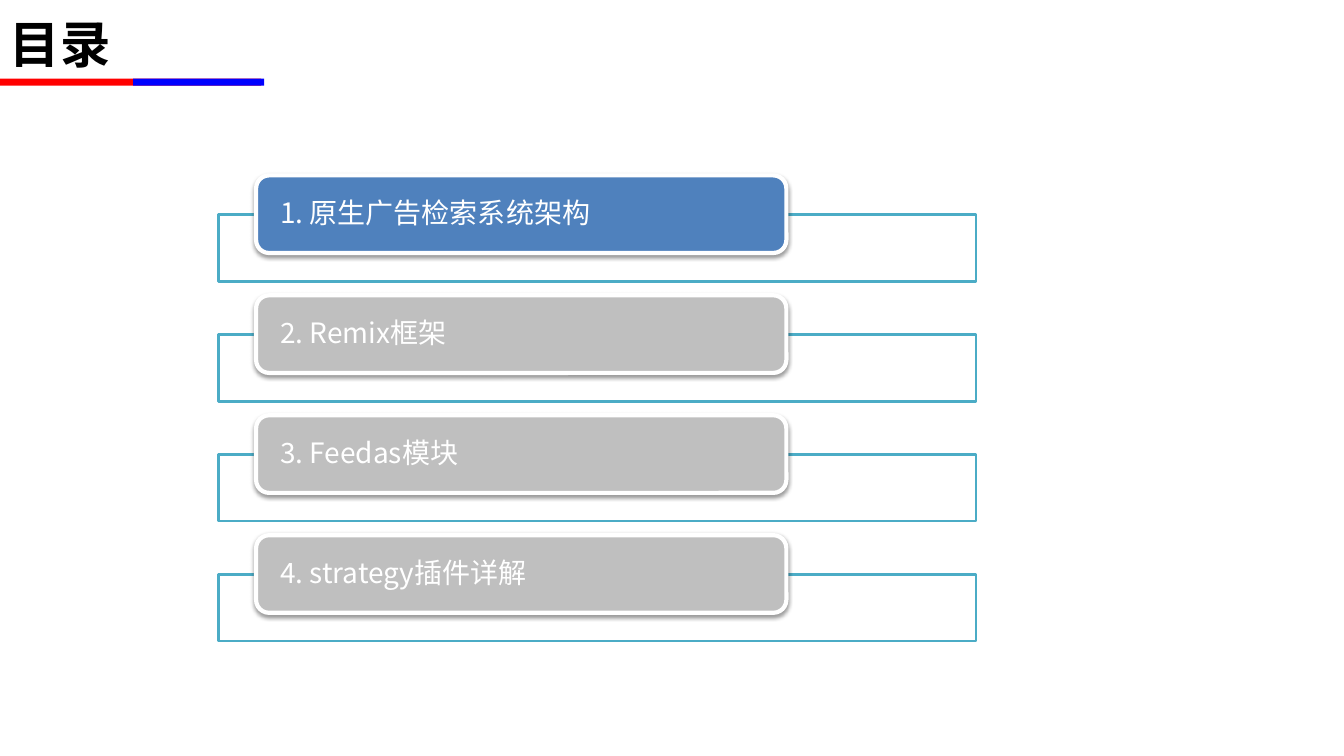
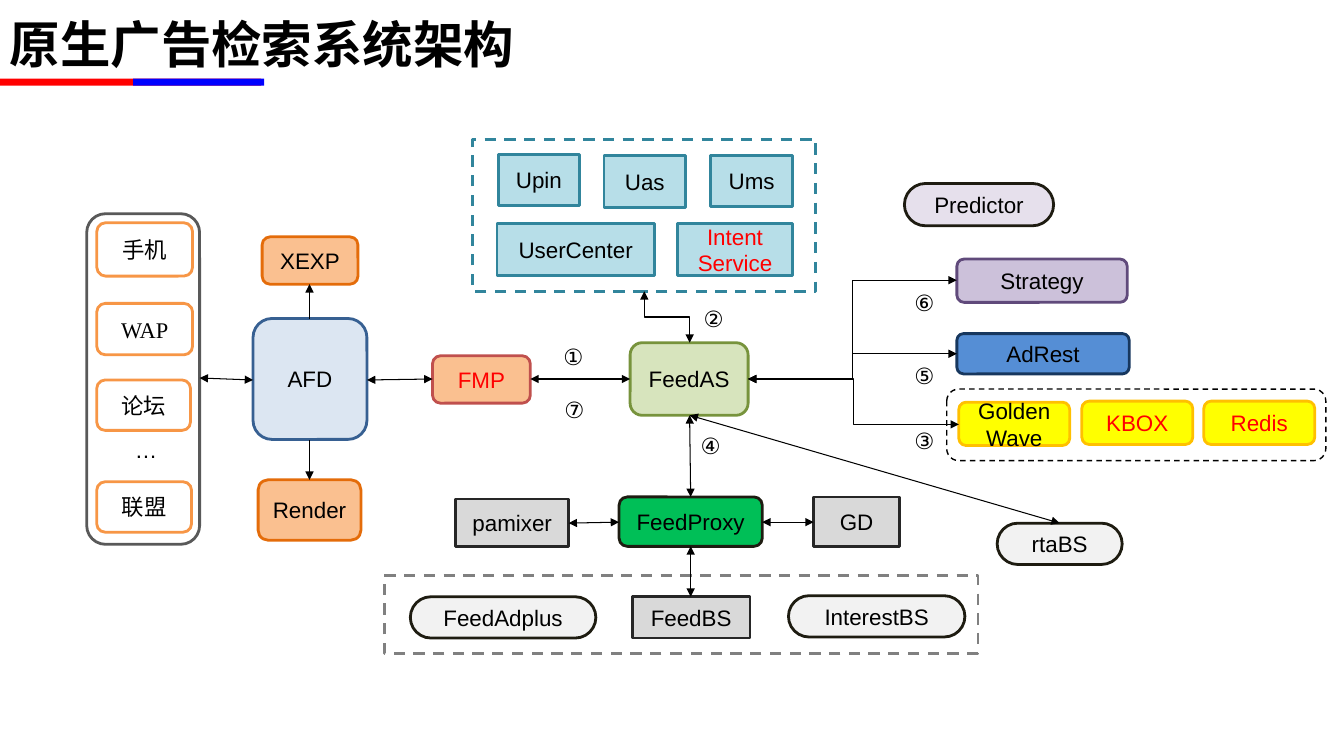
"""Build the agenda and the architecture diagram of a native ad retrieval system."""
from dataclasses import dataclass

from lxml import etree
from pptx import Presentation
from pptx.dml.color import RGBColor
from pptx.enum import dml, shapes, text
from pptx.oxml import ns
from pptx.slide import Slide
from pptx.util import Inches, Pt

BLACK = RGBColor(0x00, 0x00, 0x00)
WHITE = RGBColor(0xFF, 0xFF, 0xFF)
RED = RGBColor(0xFF, 0x00, 0x00)
BLUE = RGBColor(0x00, 0x00, 0xFF)
TEAL = RGBColor(0x4B, 0xAC, 0xC6)
ACTIVE = RGBColor(0x4F, 0x81, 0xBD)
INACTIVE = RGBColor(0xBF, 0xBF, 0xBF)
DARK_TEAL = RGBColor(0x31, 0x85, 0x9C)
DARK = RGBColor(0x1E, 0x1C, 0x11)
YELLOW = RGBColor(0xFF, 0xFF, 0x00)
PEACH = RGBColor(0xFA, 0xC0, 0x90)

LATIN, CJK, SERIF, TITLE = "Arial", "Noto Sans CJK SC", "Times New Roman", "Noto Sans Mono"
RECT = shapes.MSO_SHAPE.RECTANGLE
ROUND = shapes.MSO_SHAPE.ROUNDED_RECTANGLE


@dataclass(frozen=True)
class Style:
    """Outline, fill and geometry of a box."""
    fill: RGBColor | None
    line: RGBColor | None
    geometry: shapes.MSO_SHAPE = ROUND
    radius: float | None = None
    width: float = 2
    dashed: bool = False


@dataclass(frozen=True)
class Node:
    """A labelled box of the diagram, in inches."""
    label: str
    x: float
    y: float
    w: float
    h: float
    style: Style
    color: RGBColor = BLACK
    font: str = LATIN


@dataclass(frozen=True)
class Link:
    """An arrow between two points, in inches."""
    x1: float
    y1: float
    x2: float
    y2: float
    both: bool = True
    bent: bool = False
    upright: bool = False


RED_BAND = Style(RED, None, RECT)
BLUE_BAND = Style(BLUE, None, RECT)
AGENDA_FRAME = Style(WHITE, TEAL, RECT)
AGENDA_ACTIVE = Style(ACTIVE, WHITE, width=3)
AGENDA_INACTIVE = Style(INACTIVE, WHITE, width=3)

ENTRY_FRAME = Style(None, RGBColor(0x59, 0x59, 0x59))
ENTRY = Style(WHITE, RGBColor(0xF7, 0x96, 0x46))
FRONT = Style(RGBColor(0xDC, 0xE6, 0xF2), RGBColor(0x37, 0x60, 0x92))
HELPER = Style(PEACH, RGBColor(0xE4, 0x6C, 0x0A))
FILTER = Style(PEACH, RGBColor(0xC0, 0x50, 0x4D))
CORE = Style(RGBColor(0xD7, 0xE4, 0xBD), RGBColor(0x77, 0x93, 0x3C))
USER = Style(RGBColor(0xB7, 0xDE, 0xE8), DARK_TEAL, RECT)
USER_FRAME = Style(None, DARK_TEAL, RECT, dashed=True)
STRATEGY = Style(RGBColor(0xCC, 0xC1, 0xDA), RGBColor(0x60, 0x4A, 0x7B))
REST = Style(RGBColor(0x55, 0x8E, 0xD5), RGBColor(0x17, 0x37, 0x5E))
STORE = Style(YELLOW, RGBColor(0xFF, 0xC0, 0x00))
STORE_FRAME = Style(None, BLACK, width=1, dashed=True)
PREDICTOR = Style(RGBColor(0xE6, 0xE0, 0xEC), DARK, radius=0.5)
PROXY = Style(RGBColor(0x00, 0xBF, 0x57), DARK)
SERVER = Style(RGBColor(0xD9, 0xD9, 0xD9), RGBColor(0x26, 0x26, 0x26), RECT)
PILL = Style(RGBColor(0xF2, 0xF2, 0xF2), DARK, radius=0.5)
SERVER_FRAME = Style(None, RGBColor(0x80, 0x80, 0x80), RECT, dashed=True)

AGENDA = ["1. 原生广告检索系统架构", "2. Remix框架", "3. Feedas模块", "4. strategy插件详解"]

NODES = [
    Node("Strategy", 9.49, 2.57, 1.69, 0.43, STRATEGY),
    Node("AdRest", 9.49, 3.31, 1.71, 0.4, REST),
    Node("GoldenWave", 9.51, 3.99, 1.1, 0.43, STORE),
    Node("KBOX", 10.73, 3.98, 1.1, 0.43, STORE, RED),
    Node("Redis", 11.94, 3.98, 1.1, 0.43, STORE, RED),
    Node("", 9.39, 3.86, 3.76, 0.71, STORE_FRAME),
    Node("Predictor", 8.97, 1.82, 1.48, 0.42, PREDICTOR),
    Node("", 0.86, 2.12, 1.12, 3.28, ENTRY_FRAME),
    Node("手机", 0.96, 2.21, 0.95, 0.53, ENTRY),
    Node("WAP", 0.96, 3.01, 0.95, 0.51, ENTRY, font=SERIF),
    Node("论坛", 0.96, 3.77, 0.93, 0.5, ENTRY, font=SERIF),
    Node("联盟", 0.96, 4.78, 0.94, 0.5, ENTRY, font=SERIF),
    Node("AFD", 2.51, 3.16, 1.13, 1.2, FRONT),
    Node("XEXP", 2.6, 2.35, 0.95, 0.47, HELPER),
    Node("Render", 2.56, 4.76, 1.02, 0.6, HELPER),
    Node("FeedAS", 6.25, 3.4, 1.17, 0.72, CORE),
    Node("FMP", 4.29, 3.53, 0.97, 0.47, FILTER, RED),
    Node("Upin", 4.94, 1.53, 0.81, 0.51, USER),
    Node("Uas", 5.99, 1.54, 0.81, 0.52, USER),
    Node("Ums", 7.05, 1.54, 0.81, 0.51, USER),
    Node("Intent\nService", 6.72, 2.22, 1.14, 0.51, USER, RED),
    Node("UserCenter", 4.93, 2.22, 1.56, 0.51, USER),
    Node("", 4.69, 1.38, 3.4, 1.51, USER_FRAME),
    Node("pamixer", 4.52, 4.95, 1.12, 0.47, SERVER),
    Node("FeedBS", 6.27, 5.92, 1.17, 0.41, SERVER),
    Node("GD", 8.07, 4.93, 0.85, 0.49, SERVER),
    Node("FeedProxy", 6.14, 4.93, 1.42, 0.49, PROXY),
    Node("FeedAdplus", 4.07, 5.92, 1.84, 0.41, PILL),
    Node("InterestBS", 7.82, 5.91, 1.75, 0.41, PILL),
    Node("", 3.81, 5.71, 5.89, 0.77, SERVER_FRAME),
    Node("rtaBS", 9.89, 5.19, 1.24, 0.41, PILL),
]

LINKS = [
    Link(3.07, 3.16, 3.07, 2.82, both=False),
    Link(3.07, 4.37, 3.07, 4.76, both=False),
    Link(1.98, 3.75, 2.51, 3.77),
    Link(3.64, 3.77, 4.29, 3.76),
    Link(5.26, 3.76, 6.25, 3.76),
    Link(6.84, 3.4, 6.39, 2.89, bent=True, upright=True),
    Link(7.42, 3.76, 9.49, 3.51, bent=True),
    Link(7.42, 3.76, 9.49, 2.78, bent=True),
    Link(7.42, 3.76, 9.51, 4.21, bent=True),
    Link(6.84, 4.12, 6.85, 4.93),
    Link(6.14, 5.18, 5.64, 5.19),
    Link(7.56, 5.18, 8.07, 5.18),
    Link(6.85, 5.42, 6.85, 5.92),
    Link(6.84, 4.12, 10.51, 5.19),
]

MARKS = [
    ("①", 5.49, 3.36), ("②", 6.88, 2.98), ("③", 8.97, 4.19), ("④", 6.85, 4.24),
    ("⑤", 8.97, 3.54), ("⑥", 8.97, 2.82), ("⑦", 5.5, 3.88), ("…", 1.24, 4.28),
]


def write(tf: text, content: str, *, size: float = 16, font: str = LATIN,
          color: RGBColor = BLACK, bold: bool = False, align=text.PP_ALIGN.LEFT,
          anchor=text.MSO_ANCHOR.MIDDLE, spacing: float = 1.0) -> None:
    """Fill a text frame, one paragraph for each line."""
    tf.word_wrap = True
    tf.vertical_anchor = anchor
    for i, line in enumerate(content.split("\n")):
        p = tf.add_paragraph() if i else tf.paragraphs[0]
        p.alignment, p.line_spacing = align, spacing
        r = p.add_run()
        r.text = line
        r.font.size, r.font.bold, r.font.name = Pt(size), bold, font
        r.font.color.rgb = color
        etree.SubElement(r.font._element, ns.qn("a:ea"), typeface=CJK)


def add_box(s: Slide, x: float, y: float, w: float, h: float, style: Style):
    """Draw a preset shape in a style."""
    sp = s.shapes.add_shape(style.geometry, Inches(x), Inches(y), Inches(w), Inches(h))
    sp.shadow.inherit = False
    if style.radius is not None:
        sp.adjustments[0] = style.radius
    if style.fill is None:
        sp.fill.background()
    else:
        sp.fill.solid()
        sp.fill.fore_color.rgb = style.fill
    if style.line is None:
        sp.line.fill.background()
    else:
        sp.line.color.rgb = style.line
        sp.line.width = Pt(style.width)
    if style.dashed:
        sp.line.dash_style = dml.MSO_LINE.DASH
    return sp


def add_text(s: Slide, content: str, x: float, y: float, w: float, h: float, **fmt) -> None:
    """Add a text box."""
    tb = s.shapes.add_textbox(Inches(x), Inches(y), Inches(w), Inches(h))
    write(tb.text_frame, content, **fmt)


def add_shadow(sp) -> None:
    """Give a shape a soft shadow below it."""
    effects = sp._element.spPr.find(ns.qn("a:effectLst"))
    shadow = etree.SubElement(effects, ns.qn("a:outerShdw"), blurRad=str(Pt(3.1)),
                              dist=str(Pt(1.6)), dir="5400000", rotWithShape="0")
    color = etree.SubElement(shadow, ns.qn("a:srgbClr"), val=str(BLACK))
    etree.SubElement(color, ns.qn("a:alpha"), val="38000")


def add_link(s: Slide, link: Link) -> None:
    """Draw an arrow; an upright bend is a level one turned by 270 degrees."""
    x1, y1, x2, y2 = link.x1, link.y1, link.x2, link.y2
    if link.upright:
        cx, cy = (x1 + x2) / 2, (y1 + y2) / 2
        dx, dy = (x1 - x2) / 2, (y1 - y2) / 2
        x1, y1, x2, y2 = cx - dy, cy + dx, cx + dy, cy - dx
    kind = shapes.MSO_CONNECTOR.ELBOW if link.bent else shapes.MSO_CONNECTOR.STRAIGHT
    cn = s.shapes.add_connector(kind, Inches(x1), Inches(y1), Inches(x2), Inches(y2))
    cn.line.color.rgb = BLACK
    cn.line.width = Pt(0.75)
    props = cn._element.spPr
    if link.upright:
        props.find(ns.qn("a:xfrm")).set("rot", "16200000")
    ends = ("a:headEnd", "a:tailEnd") if link.both else ("a:tailEnd",)
    for end in ends:
        etree.SubElement(props.find(ns.qn("a:ln")), ns.qn(end), type="triangle")
    etree.SubElement(props, ns.qn("a:effectLst"))


def add_slide(prs: Presentation, title: str) -> Slide:
    """Add a blank slide with the shared bands and title."""
    s = prs.slides.add_slide(prs.slide_layouts[6])
    add_box(s, 0, 0.78, 2.59, 0.07, RED_BAND)
    add_box(s, 1.32, 0.78, 1.3, 0.07, BLUE_BAND)
    add_text(s, title, 0, 0, 12, 0.85, size=36, font=TITLE, bold=True)
    return s


def build_agenda(prs: Presentation) -> None:
    """Draw the agenda with its first item active."""
    s = add_slide(prs, "目录")
    for i, item in enumerate(AGENDA):
        y = 1.74 + 1.19 * i
        add_box(s, 2.17, y + 0.39, 7.51, 0.66, AGENDA_FRAME)
        sp = add_box(s, 2.54, y, 5.26, 0.77, AGENDA_INACTIVE if i else AGENDA_ACTIVE)
        add_shadow(sp)
        tf = sp.text_frame
        tf.margin_left = tf.margin_right = Inches(0.2)
        tf.margin_top = tf.margin_bottom = 0
        write(tf, item, size=20, font=CJK, color=WHITE, spacing=0.9)


def build_architecture(prs: Presentation) -> None:
    """Draw the system architecture diagram."""
    s = add_slide(prs, "原生广告检索系统架构")
    for node in NODES:
        sp = add_box(s, node.x, node.y, node.w, node.h, node.style)
        if node.label:
            write(sp.text_frame, node.label, font=node.font, color=node.color,
                  align=text.PP_ALIGN.CENTER)
    for link in LINKS:
        add_link(s, link)
    for mark, x, y in MARKS:
        add_text(s, mark, x, y, 0.54, 0.4, anchor=text.MSO_ANCHOR.TOP)


def main() -> None:
    """Build and save the presentation."""
    prs = Presentation()
    prs.slide_width, prs.slide_height = Inches(13.33), Inches(7.5)
    build_agenda(prs)
    build_architecture(prs)
    prs.save("out.pptx")


if __name__ == "__main__":
    main()
